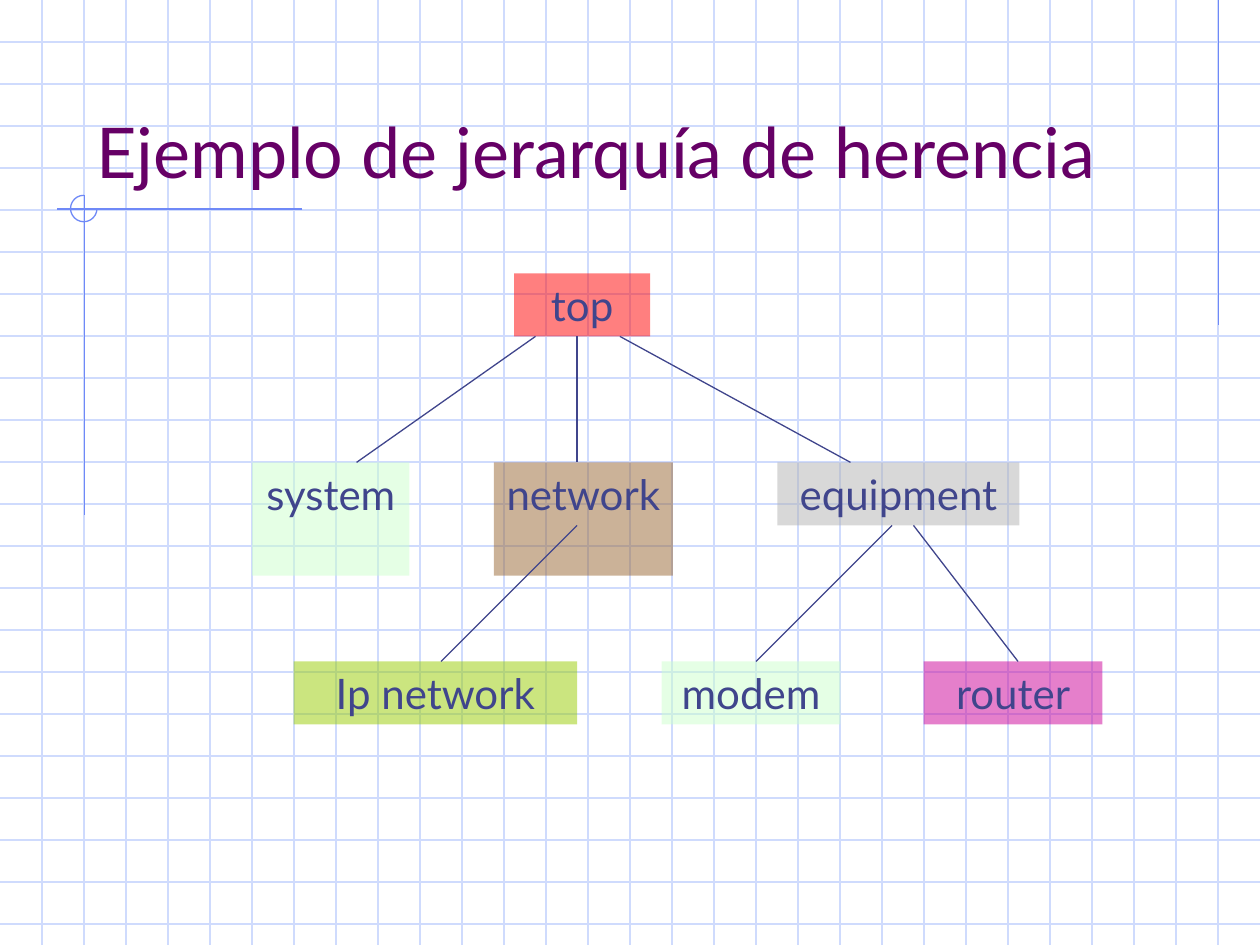
from lxml import etree
from pptx import Presentation
from pptx.dml.color import RGBColor
from pptx.enum.shapes import MSO_CONNECTOR, MSO_SHAPE
from pptx.enum.text import MSO_ANCHOR, PP_ALIGN
from pptx.oxml.ns import qn
from pptx.util import Inches, Pt

WIDTH, HEIGHT = 10, 7.5
CELLS_PER_INCH = 3
GRID_COLOR = RGBColor(0xCF, 0xDB, 0xFD)
ACCENT_COLOR = RGBColor(0x6F, 0x89, 0xF7)
TITLE_COLOR = RGBColor(0x66, 0x00, 0x66)
INK_COLOR = RGBColor(0x40, 0x45, 0x8C)
RED = RGBColor(0xFF, 0x00, 0x00)
MINT = RGBColor(0xCC, 0xFF, 0xCC)
BROWN = RGBColor(0x99, 0x66, 0x33)
GRAY = RGBColor(0xB2, 0xB2, 0xB2)
LIME = RGBColor(0x99, 0xCC, 0x00)
MAGENTA = RGBColor(0xCC, 0x00, 0x99)

TITLE = "Ejemplo de jerarquía de herencia"
TITLE_BOX = (0.67, 0.33, 8.5, 1.25)
TITLE_FONT = {"name": "Lato", "size": Pt(40)}
CLASS_FONT = {"name": "Lato", "size": Pt(24)}
CLASS_PARAGRAPH = {"alignment": PP_ALIGN.CENTER, "space_before": Pt(15)}

LEVEL_TOPS = (2.17, 3.67, 5.25)
BOX_HEIGHT, TALL_HEIGHT = 0.5, 0.9
CLASSES = [
    ("top", 0, 4.08, 1.08, BOX_HEIGHT, RED),
    ("system", 1, 2, 1.25, TALL_HEIGHT, MINT),
    ("network", 1, 3.92, 1.42, TALL_HEIGHT, BROWN),
    ("equipment", 1, 6.17, 1.92, BOX_HEIGHT, GRAY),
    ("Ip network", 2, 2.33, 2.25, BOX_HEIGHT, LIME),
    ("modem", 2, 5.25, 1.42, BOX_HEIGHT, MINT),
    ("router", 2, 7.33, 1.42, BOX_HEIGHT, MAGENTA),
]
INHERITANCE = [
    (0, 4.25, 2.83),
    (0, 4.58, 4.58),
    (0, 4.92, 6.75),
    (1, 4.58, 3.5),
    (1, 7.08, 6),
    (1, 7.25, 8.08),
]
ACCENT_LINES = [
    (9.67, 0, 9.67, 2.58),
    (2.4, 1.66, 0.45, 1.66),
    (0.67, 1.55, 0.67, 4.09),
]
ACCENT_ARC = (0.56, 1.55, 0.21, 0.21)
ARC_ANGLES = (0, 270)
ANGLE_UNIT = 0.6


def inches(values):
    return [Inches(value) for value in values]


def add_line(slide, ends, color):
    connector = slide.shapes.add_connector(MSO_CONNECTOR.STRAIGHT, *inches(ends))
    connector.line.color.rgb = color
    connector.line.width = Pt(0.75)
    etree.SubElement(connector._element.spPr, qn("a:effectLst"))


def write_text(shape, text, anchor, font_format, color, paragraph_format):
    frame = shape.text_frame
    frame.word_wrap = True
    frame.vertical_anchor = anchor
    paragraph = frame.paragraphs[0]
    for name, value in paragraph_format.items():
        setattr(paragraph, name, value)
    run = paragraph.add_run()
    run.text = text
    for name, value in font_format.items():
        setattr(run.font, name, value)
    run.font.color.rgb = color


def add_grid(slide):
    for row in range(1, int(HEIGHT * CELLS_PER_INCH) + 1):
        y = row / CELLS_PER_INCH
        add_line(slide, (0, y, WIDTH, y), GRID_COLOR)
    for column in range(1, WIDTH * CELLS_PER_INCH):
        x = column / CELLS_PER_INCH
        add_line(slide, (x, 0, x, HEIGHT), GRID_COLOR)


def add_accents(slide):
    for ends in ACCENT_LINES:
        add_line(slide, ends, ACCENT_COLOR)
    arc = slide.shapes.add_shape(MSO_SHAPE.ARC, *inches(ACCENT_ARC))
    arc.shadow.inherit = False
    arc.fill.background()
    arc.line.color.rgb = ACCENT_COLOR
    arc.line.width = Pt(0.75)
    for index, angle in enumerate(ARC_ANGLES):
        arc.adjustments[index] = angle * ANGLE_UNIT


def add_class(slide, name, level, left, width, height, color):
    box = (left, LEVEL_TOPS[level], width, height)
    shape = slide.shapes.add_shape(MSO_SHAPE.RECTANGLE, *inches(box))
    shape.shadow.inherit = False
    shape.line.fill.background()
    shape.fill.solid()
    shape.fill.fore_color.rgb = color
    fill_color = shape._element.spPr.find(qn("a:solidFill"))[0]
    etree.SubElement(fill_color, qn("a:alpha"), val="50000")
    write_text(shape, name, MSO_ANCHOR.TOP, CLASS_FONT, INK_COLOR, CLASS_PARAGRAPH)


def main():
    presentation = Presentation()
    presentation.slide_width, presentation.slide_height = inches((WIDTH, HEIGHT))
    slide = presentation.slides.add_slide(presentation.slide_layouts[6])
    add_grid(slide)
    add_accents(slide)
    title = slide.shapes.add_textbox(*inches(TITLE_BOX))
    write_text(title, TITLE, MSO_ANCHOR.BOTTOM, TITLE_FONT, TITLE_COLOR, {})
    for item in CLASSES:
        add_class(slide, *item)
    for level, parent_x, child_x in INHERITANCE:
        parent_y = LEVEL_TOPS[level] + BOX_HEIGHT
        child_y = LEVEL_TOPS[level + 1]
        add_line(slide, (parent_x, parent_y, child_x, child_y), INK_COLOR)
    presentation.save("out.pptx")


if __name__ == "__main__":
    main()
